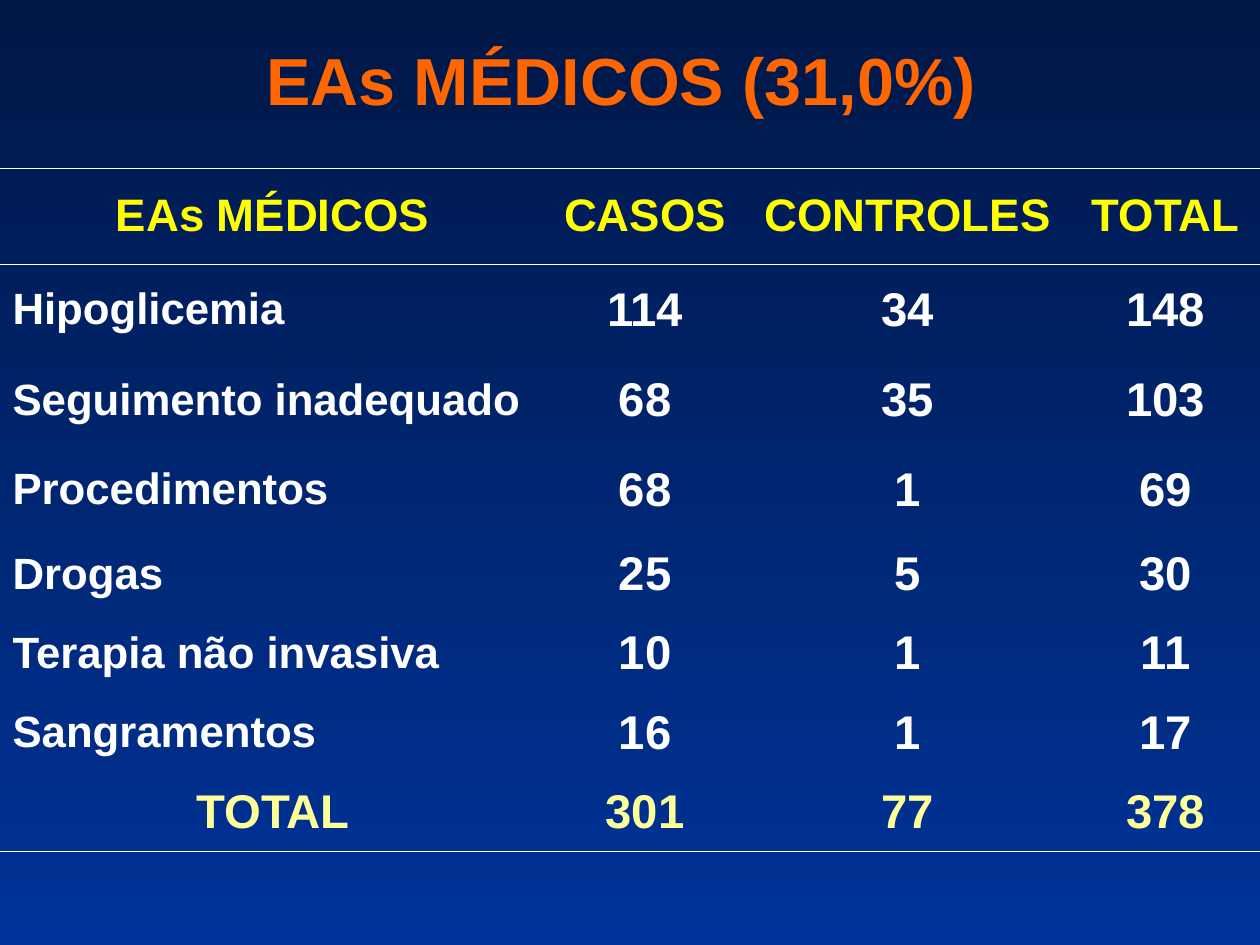
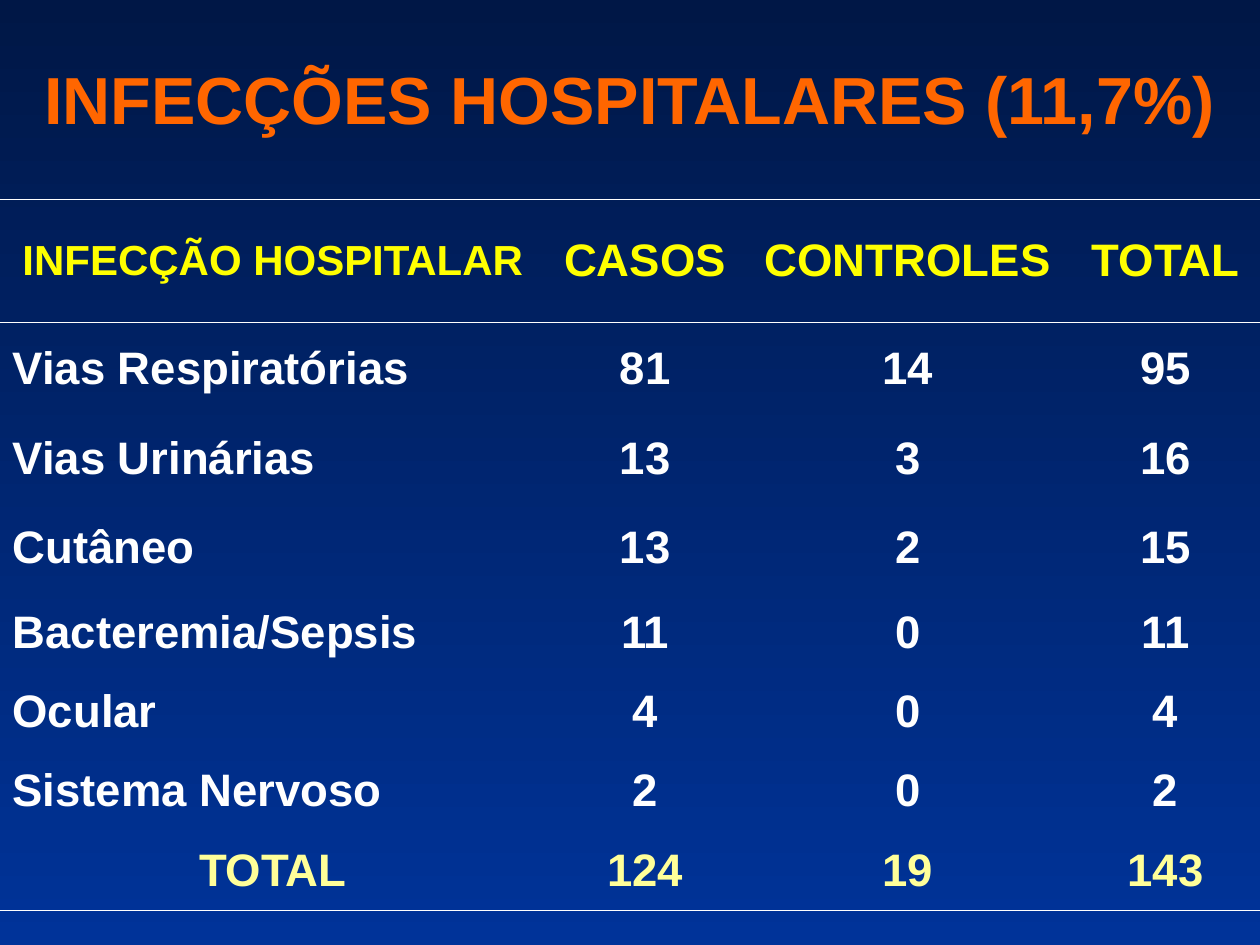
"""Build two slides of adverse event tables: medical events and hospital infections."""
from dataclasses import dataclass

from lxml import etree
from pptx import Presentation
from pptx import util as u
from pptx.dml.color import RGBColor
from pptx.enum import text
from pptx.oxml import ns

NAVY = RGBColor(0x00, 0x17, 0x46)
BLUE = RGBColor(0x00, 0x33, 0x99)
ORANGE = RGBColor(0xFF, 0x66, 0x00)
YELLOW = RGBColor(0xFF, 0xFF, 0x00)
PALE_YELLOW = RGBColor(0xFF, 0xFF, 0x99)
WHITE = RGBColor(0xFF, 0xFF, 0xFF)

FONT = "Arial"
SLIDE_WIDTH, SLIDE_HEIGHT = u.Cm(25.4), u.Cm(19.05)
COLUMN_WIDTHS = (11, 4.01, 6.58, 3.81)
BODY_ROW_HEIGHTS = (1.85, 1.8, 1.8, 1.6, 1.6, 1.6, 1.6)
COUNT_HEADINGS = ("CASOS", "CONTROLES", "TOTAL")
HEADING_SIZE = 26
RULE_WIDTH = u.Pt(0.45)
NO_TABLE_STYLE = "{2D5ABB26-0587-4C30-8999-92F81FD0307C}"


@dataclass(frozen=True)
class Span:
    """A run of title text and its size in points."""

    words: str
    size: float


@dataclass(frozen=True)
class Event:
    """An adverse event with its counts among cases and controls."""

    label: str
    cases: int
    controls: int


@dataclass(frozen=True)
class EventSlide:
    """A titled event table with its own measures in cm and points."""

    title: tuple[Span, ...]
    title_height: float
    table_top: float
    header_height: float
    heading: str
    heading_size: float
    label_size: float
    count_size: float
    events: tuple[Event, ...]


@dataclass(frozen=True)
class RowStyle:
    """Look of one table row: sizes, colour, label alignment and rules."""

    label_size: float
    count_size: float
    color: RGBColor
    label_align: text.PP_ALIGN = text.PP_ALIGN.CENTER
    ruled: tuple[str, ...] = ()


EVENT_SLIDES = (
    EventSlide(
        title=(Span("EAs MÉDICOS (31,0%)", 38), Span(" ", 36)),
        title_height=3.18, table_top=3.39, header_height=1.93,
        heading="EAs MÉDICOS", heading_size=26, label_size=25, count_size=27,
        events=(
            Event("Hipoglicemia", 114, 34),
            Event("Seguimento inadequado", 68, 35),
            Event("Procedimentos", 68, 1),
            Event("Drogas", 25, 5),
            Event("Terapia não invasiva", 10, 1),
            Event("Sangramentos", 16, 1),
        ),
    ),
    EventSlide(
        title=(Span("INFECÇÕES HOSPITALARES (11,7%)", 38),),
        title_height=3.94, table_top=4.01, header_height=2.49,
        heading="INFECÇÃO HOSPITALAR", heading_size=24, label_size=26, count_size=26,
        events=(
            Event("Vias Respiratórias", 81, 14),
            Event("Vias Urinárias", 13, 3),
            Event("Cutâneo", 13, 2),
            Event("Bacteremia/Sepsis", 11, 0),
            Event("Ocular", 4, 0),
            Event("Sistema Nervoso", 2, 0),
        ),
    ),
)


def add_run(paragraph, words: str, size: float, color: RGBColor) -> None:
    """Add one bold run to a paragraph."""
    run = paragraph.add_run()
    run.text = words
    run.font.name = FONT
    run.font.size = u.Pt(size)
    run.font.bold = True
    run.font.color.rgb = color


def rule_cell(cell, ruled: tuple[str, ...]) -> None:
    """Draw white rules on the named sides of a cell and none on the others."""
    properties = cell._tc.get_or_add_tcPr()
    for side in ("lnL", "lnR", "lnT", "lnB"):
        line = etree.SubElement(properties, ns.qn(f"a:{side}"), w=str(int(RULE_WIDTH)))
        if side in ruled:
            paint = etree.SubElement(line, ns.qn("a:solidFill"))
            etree.SubElement(paint, ns.qn("a:srgbClr"), val=str(WHITE))
        else:
            etree.SubElement(line, ns.qn("a:noFill"))
    cell.fill.background()


def fill_row(row, entries: tuple, style: RowStyle) -> None:
    """Write a label and its counts across one table row."""
    for column, (cell, entry) in enumerate(zip(row.cells, entries)):
        rule_cell(cell, style.ruled)
        cell.vertical_anchor = text.MSO_ANCHOR.MIDDLE
        paragraph = cell.text_frame.paragraphs[0]
        paragraph.alignment = text.PP_ALIGN.CENTER if column else style.label_align
        size = style.count_size if column else style.label_size
        add_run(paragraph, str(entry), size, style.color)


def event_entries(event: Event) -> tuple:
    """Return the label, both counts and their sum."""
    return event.label, event.cases, event.controls, event.cases + event.controls


def add_title(slide, content: EventSlide) -> None:
    """Add the centred title across the top of the slide."""
    frame = slide.shapes.add_textbox(0, 0, SLIDE_WIDTH, u.Cm(content.title_height)).text_frame
    frame.word_wrap = True
    frame.vertical_anchor = text.MSO_ANCHOR.MIDDLE
    paragraph = frame.paragraphs[0]
    paragraph.alignment = text.PP_ALIGN.CENTER
    for span in content.title:
        add_run(paragraph, span.words, span.size, ORANGE)


def add_event_table(slide, content: EventSlide) -> None:
    """Add the table of events with a header and a computed total row."""
    heights = (content.header_height, *BODY_ROW_HEIGHTS)
    table = slide.shapes.add_table(
        len(heights), len(COLUMN_WIDTHS), 0, u.Cm(content.table_top),
        SLIDE_WIDTH, u.Cm(sum(heights)),
    ).table
    table.first_row = table.horz_banding = False
    table._tbl.tblPr.find(ns.qn("a:tableStyleId")).text = NO_TABLE_STYLE
    for column, width in zip(table.columns, COLUMN_WIDTHS):
        column.width = u.Cm(width)
    for row, height in zip(table.rows, heights):
        row.height = u.Cm(height)

    header, *event_rows, total_row = table.rows
    fill_row(header, (content.heading, *COUNT_HEADINGS),
             RowStyle(content.heading_size, HEADING_SIZE, YELLOW, ruled=("lnT", "lnB")))
    for index, (row, event) in enumerate(zip(event_rows, content.events)):
        ruled = () if index else ("lnT",)
        fill_row(row, event_entries(event),
                 RowStyle(content.label_size, content.count_size, WHITE,
                          text.PP_ALIGN.LEFT, ruled))
    total = Event("TOTAL", sum(event.cases for event in content.events),
                  sum(event.controls for event in content.events))
    fill_row(total_row, event_entries(total),
             RowStyle(content.count_size, content.count_size, PALE_YELLOW, ruled=("lnB",)))


def paint_background(master) -> None:
    """Give every slide the gradient from navy down to blue."""
    fill = master.background.fill
    fill.gradient()
    fill.gradient_angle = 270
    for stop, color in zip(fill.gradient_stops, (NAVY, BLUE)):
        stop.color.rgb = color


def main() -> None:
    """Build and save the presentation."""
    presentation = Presentation()
    presentation.slide_width, presentation.slide_height = SLIDE_WIDTH, SLIDE_HEIGHT
    paint_background(presentation.slide_master)
    for content in EVENT_SLIDES:
        slide = presentation.slides.add_slide(presentation.slide_layouts[6])
        add_event_table(slide, content)
        add_title(slide, content)
    presentation.save("out.pptx")


if __name__ == "__main__":
    main()
